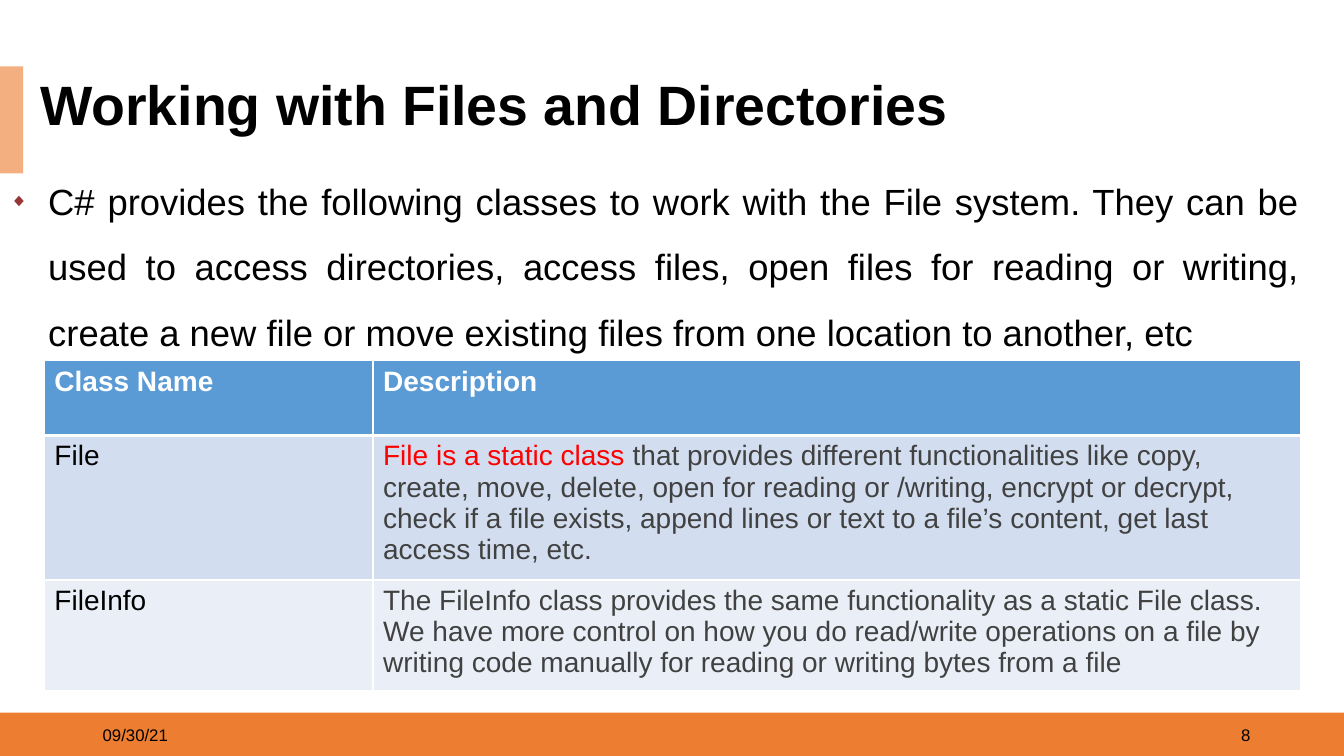
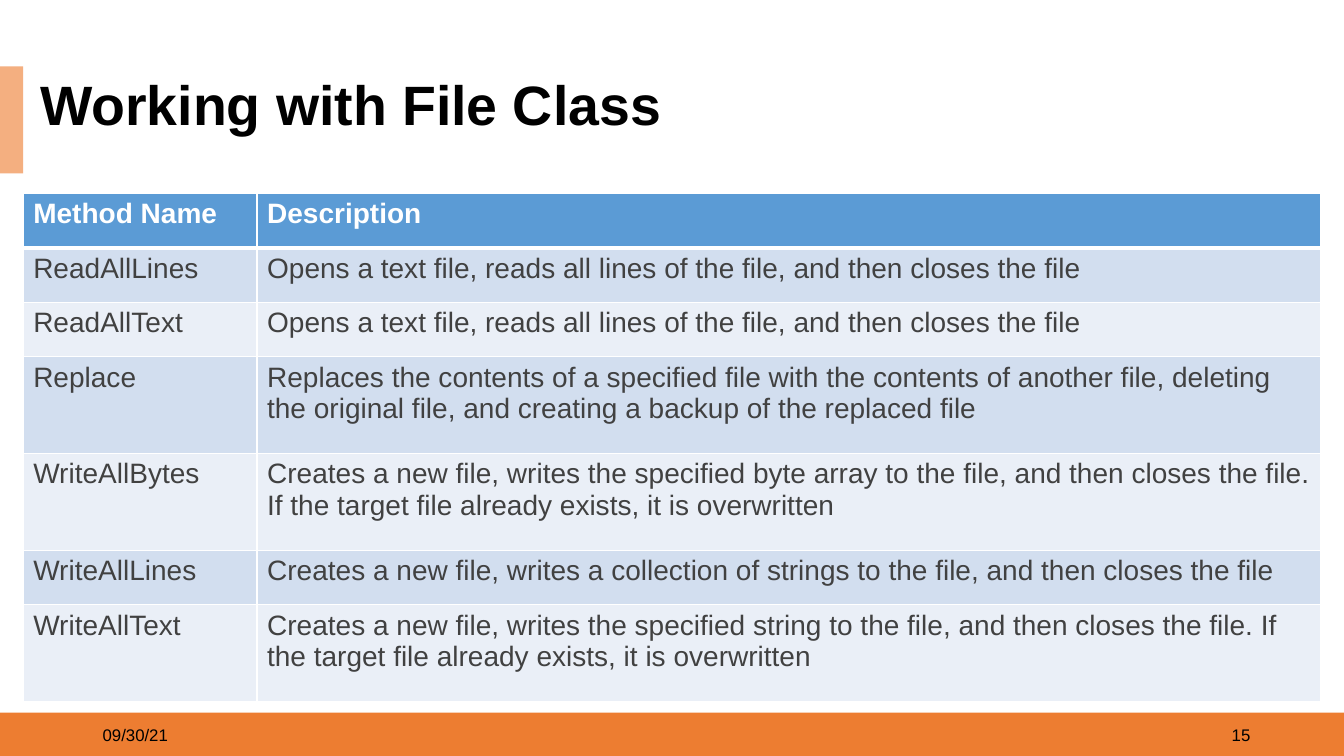
from lxml import etree
from pptx import Presentation
from pptx.dml.color import RGBColor
from pptx.enum.shapes import MSO_SHAPE
from pptx.enum.text import MSO_ANCHOR, PP_ALIGN
from pptx.oxml.ns import qn
from pptx.util import Inches, Pt

RECT = MSO_SHAPE.RECTANGLE
TOP, MIDDLE = MSO_ANCHOR.TOP, MSO_ANCHOR.MIDDLE
LEFT, RIGHT, JUSTIFY = PP_ALIGN.LEFT, PP_ALIGN.RIGHT, PP_ALIGN.JUSTIFY

# Shared look
FONT = "Arial"
BLACK, WHITE, GREY, RED = "000000", "FFFFFF", "414141", "FF0000"
ORANGE, PEACH, MAROON = "ED7D31", "F4AF80", "973735"
HEAD, BANDS = "5B9BD5", ("D2DEEF", "EAEFF7")
WIDE, HIGH = 13.33, 7.5
DATE = "09/30/21"

INTRO = (
    "C# provides the following classes to work with the File system. "
    "They can be used to access directories, access files, open files for "
    "reading or writing, create a new file or move existing files from one "
    "location to another, etc"
)
CLASSES = [
    ("Class Name", "Description"),
    ("File", [
        ("File is a static class ", RED),
        ("that provides different functionalities like copy, create, move, "
         "delete, open for reading or /writing, encrypt or decrypt, check if "
         "a file exists, append lines or text to a file’s content, get last "
         "access time, etc.", GREY),
    ]),
    ("FileInfo",
     "The FileInfo class provides the same functionality as a static File "
     "class. We have more control on how you do read/write operations on a "
     "file by writing code manually for reading or writing bytes from a file"),
]
READS = "Opens a text file, reads all lines of the file, and then closes the file"
METHODS = [
    ("Method Name", "Description"),
    ("ReadAllLines", READS),
    ("ReadAllText", READS),
    ("Replace",
     "Replaces the contents of a specified file with the contents of another "
     "file, deleting the original file, and creating a backup of the replaced "
     "file"),
    ("WriteAllBytes",
     "Creates a new file, writes the specified byte array to the file, and "
     "then closes the file. If the target file already exists, it is "
     "overwritten"),
    ("WriteAllLines",
     "Creates a new file, writes a collection of strings to the file, and "
     "then closes the file"),
    ("WriteAllText",
     "Creates a new file, writes the specified string to the file, and then "
     "closes the file. If the target file already exists, it is overwritten"),
]


def rgb(code):
    return RGBColor.from_string(code)


def write(frame, text, size=20, color=BLACK, bold=False, align=LEFT,
          line=None, bullet=False):
    """Fill a frame with one paragraph: a string or (text, color) runs."""
    frame.word_wrap = True
    para = frame.paragraphs[0]
    para.alignment = align
    if line:
        para.line_spacing = line
    if bullet:
        add_bullet(para)
    runs = [(text, color)] if isinstance(text, str) else text
    for words, tint in runs:
        run = para.add_run()
        run.text = words
        font = run.font
        font.name, font.size, font.bold = FONT, Pt(size), bold
        font.color.rgb = rgb(tint)


def add_bullet(para, indent=0.38):
    props = para._p.get_or_add_pPr()
    props.set("marL", str(Inches(indent)))
    props.set("indent", str(-Inches(indent)))
    tint = etree.SubElement(props, qn("a:buClr"))
    etree.SubElement(tint, qn("a:srgbClr"), val=MAROON)
    etree.SubElement(props, qn("a:buSzPct"), val="50000")
    etree.SubElement(props, qn("a:buFont"), typeface=FONT)
    etree.SubElement(props, qn("a:buChar"), char="◆")


def add_text(slide, box, text, anchor=MIDDLE, **style):
    frame = slide.shapes.add_textbox(*map(Inches, box)).text_frame
    frame.vertical_anchor = anchor
    write(frame, text, **style)


def add_band(slide, box, color):
    band = slide.shapes.add_shape(RECT, *map(Inches, box))
    band.shadow.inherit = False
    band.fill.solid()
    band.fill.fore_color.rgb = rgb(color)
    band.line.fill.background()


def add_border(cell, side, width):
    props = cell._tc.get_or_add_tcPr()
    line = etree.SubElement(props, qn("a:ln" + side), w=str(Pt(width)))
    fill = etree.SubElement(line, qn("a:solidFill"))
    etree.SubElement(fill, qn("a:srgbClr"), val=WHITE)


def add_grid(slide, left, top, cols, rows, data, key=GREY):
    """Banded table; key colours the first column."""
    size = (left, top, sum(cols), sum(rows))
    table = slide.shapes.add_table(
        len(rows), len(cols), *map(Inches, size)).table
    table.horz_banding = False
    for col, width in zip(table.columns, cols):
        col.width = Inches(width)
    for i, (row, height) in enumerate(zip(table.rows, rows)):
        row.height = Inches(height)
        head = i == 0
        for j, (cell, text) in enumerate(zip(row.cells, data[i])):
            # Borders go before the fill; the header's lower rule is thick
            for side in "LRTB":
                thick = (i, side) in ((0, "B"), (1, "T"))
                add_border(cell, side, 3 if thick else 1)
            cell.fill.solid()
            cell.fill.fore_color.rgb = rgb(HEAD if head else BANDS[(i - 1) % 2])
            cell.vertical_anchor = TOP
            color = WHITE if head else key if j == 0 else GREY
            write(cell.text_frame, text, color=color, bold=head)


def add_page(deck, title, number):
    """New slide with the bands, title and footer that all slides share."""
    slide = deck.slides.add_slide(deck.slide_layouts[6])
    add_band(slide, (0, 7.07, WIDE, 0.43), ORANGE)
    add_band(slide, (0, 0.66, 0.23, 1.06), PEACH)
    add_text(slide, (0.3, 0.75, 9.72, 0.63), title,
             size=39.6, bold=True, line=0.9)
    add_text(slide, (0.92, 7.09, 3, 0.4), DATE, size=12)
    add_text(slide, (9.5, 7.09, 3, 0.4), str(number), size=12, align=RIGHT)
    return slide


def main():
    deck = Presentation()
    deck.slide_width, deck.slide_height = Inches(WIDE), Inches(HIGH)

    # Classes
    slide = add_page(deck, "Working with Files and Directories", 8)
    add_text(slide, (0, 1.51, 13, 1.99), INTRO, anchor=TOP,
             size=26, align=JUSTIFY, line=1.5, bullet=True)
    add_grid(slide, 0.44, 3.58, (3.26, 9.2), (0.74, 1.43, 1.1),
             CLASSES, key=BLACK)

    # Methods
    slide = add_page(deck, "Working with File Class", 15)
    one, two = 0.54, 0.96
    add_grid(slide, 0.23, 1.92, (2.32, 10.55),
             (one, one, one, two, two, one, two), METHODS)

    deck.save("out.pptx")


if __name__ == "__main__":
    main()
